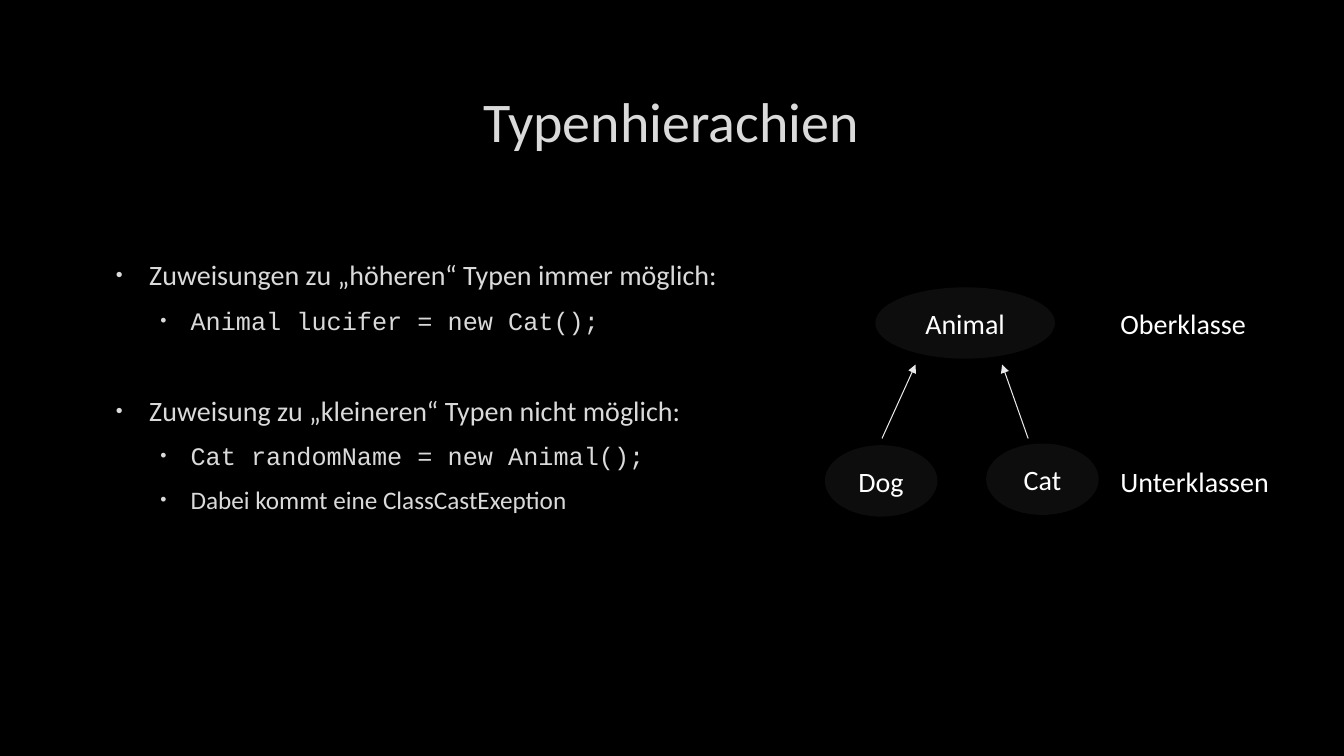
from lxml import etree
from pptx import Presentation
from pptx.dml.color import RGBColor
from pptx.enum.shapes import MSO_CONNECTOR, MSO_SHAPE
from pptx.enum.text import MSO_ANCHOR, MSO_AUTO_SIZE, PP_ALIGN
from pptx.oxml.ns import qn
from pptx.util import Inches, Pt

ELLIPSE = MSO_SHAPE.OVAL
STRAIGHT = MSO_CONNECTOR.STRAIGHT
LEFT, CENTER = PP_ALIGN.LEFT, PP_ALIGN.CENTER
TOP, MIDDLE = MSO_ANCHOR.TOP, MSO_ANCHOR.MIDDLE
NO_FIT = MSO_AUTO_SIZE.NONE

THEME = {
    "background": RGBColor.from_string("000000"),
    "node": RGBColor.from_string("0D0D0D"),
    "arrow": RGBColor.from_string("E8E8EA"),
    "sans": "Calibri",
    "mono": "Courier New",
    "title": {"size": Pt(40), "color": "DADADA"},
    "rule": {"size": Pt(20), "color": "DADADA"},
    "detail": {"size": Pt(18), "color": "DADADA"},
    "diagram": {"size": Pt(20), "color": "FFFFFF"},
}

deck = Presentation()
deck.slide_width, deck.slide_height = Inches(13.33), Inches(7.5)
COLUMN, ROW = deck.slide_width / 16, deck.slide_height / 9


def grid(column, row, *span):
    return [round(n * unit) for n, unit in zip((column, row, *span), (COLUMN, ROW) * 2)]


def write(paragraph, wording, style, face=THEME["sans"], align=LEFT):
    paragraph.alignment = align
    run = paragraph.add_run()
    run.text = wording
    run.font.color.rgb = RGBColor.from_string(THEME[style]["color"])
    for attribute, setting in {"size": THEME[style]["size"], "name": face}.items():
        setattr(run.font, attribute, setting)


slide = deck.slides.add_slide(deck.slide_layouts[1])
slide.background.fill.solid()
slide.background.fill.fore_color.rgb = THEME["background"]

heading, rules = slide.shapes.title, slide.placeholders[1]
for region, area, anchor in (
    (heading, (1.2, 0.8, 13.58, 1.27), MIDDLE),
    (rules, (1.2, 3.01, 9.06, 4.58), TOP),
):
    for attribute, length in zip(("left", "top", "width", "height"), grid(*area)):
        setattr(region, attribute, length)
    frame_format = {"word_wrap": True, "auto_size": NO_FIT, "vertical_anchor": anchor}
    for attribute, setting in frame_format.items():
        setattr(region.text_frame, attribute, setting)

write(heading.text_frame.paragraphs[0], "Typenhierachien", "title", align=CENTER)

assignments = [
    (0, "Zuweisungen zu „höheren“ Typen immer möglich:", "sans", 4),
    (1, "Animal lucifer = new Cat();", "mono", 3.6),
    (0, "Zuweisung zu „kleineren“ Typen nicht möglich:", "sans", 35.6),
    (1, "Cat randomName = new Animal();", "mono", 3.6),
    (1, "Dabei kommt eine ClassCastExeption", "sans", 3.6),
]
indents = [(0.38, -0.33), (0.79, -0.3)]
for position, (level, wording, face, gap) in enumerate(assignments):
    body = rules.text_frame
    paragraph = body.add_paragraph() if position else body.paragraphs[0]
    write(paragraph, wording, ("rule", "detail")[level], THEME[face])
    spacing = {"level": level, "space_before": Pt(gap), "space_after": Pt(6)}
    for attribute, setting in spacing.items():
        setattr(paragraph, attribute, setting)
    properties = paragraph._p.get_or_add_pPr()
    for attribute, length in zip(("marL", "indent"), indents[level]):
        properties.set(attribute, str(Inches(length)))
    bullet_color = etree.SubElement(properties, qn("a:buClr"))
    etree.SubElement(bullet_color, qn("a:srgbClr"), val=THEME["rule"]["color"])
    etree.SubElement(properties, qn("a:buSzPct"), val="70000")
    etree.SubElement(properties, qn("a:buFont"), typeface="Arial")
    etree.SubElement(properties, qn("a:buChar"), char="•")

for class_name, column, row, width in (
    ("Animal", 10.42, 3.42, 2.14),
    ("Dog", 9.82, 5.3, 1.34),
    ("Cat", 11.74, 5.28, 1.34),
):
    node = slide.shapes.add_shape(ELLIPSE, *grid(column, row, width, 0.85))
    node.shadow.inherit = False
    node.fill.solid()
    node.fill.fore_color.rgb = THEME["node"]
    node.line.fill.background()
    node.text_frame.vertical_anchor = MIDDLE
    write(node.text_frame.paragraphs[0], class_name, "diagram", align=CENTER)

for subclass_column, superclass_column in ((10.5, 10.9), (12.24, 11.93)):
    ends = grid(subclass_column, 5.22, superclass_column, 4.34)
    inheritance = slide.shapes.add_connector(STRAIGHT, *ends)
    inheritance.line.color.rgb = THEME["arrow"]
    inheritance.line.width = Pt(0.75)
    outline = inheritance.line._get_or_add_ln()
    etree.SubElement(outline, qn("a:tailEnd"), type="triangle")
    etree.SubElement(inheritance._element.spPr, qn("a:effectLst"))

for role, row, width in (("Oberklasse", 3.59, 2.14), ("Unterklassen", 5.47, 2.34)):
    label = slide.shapes.add_textbox(*grid(13.22, row, width, 0.53))
    label.text_frame.word_wrap = True
    write(label.text_frame.paragraphs[0], role, "diagram")

deck.save("out.pptx")
